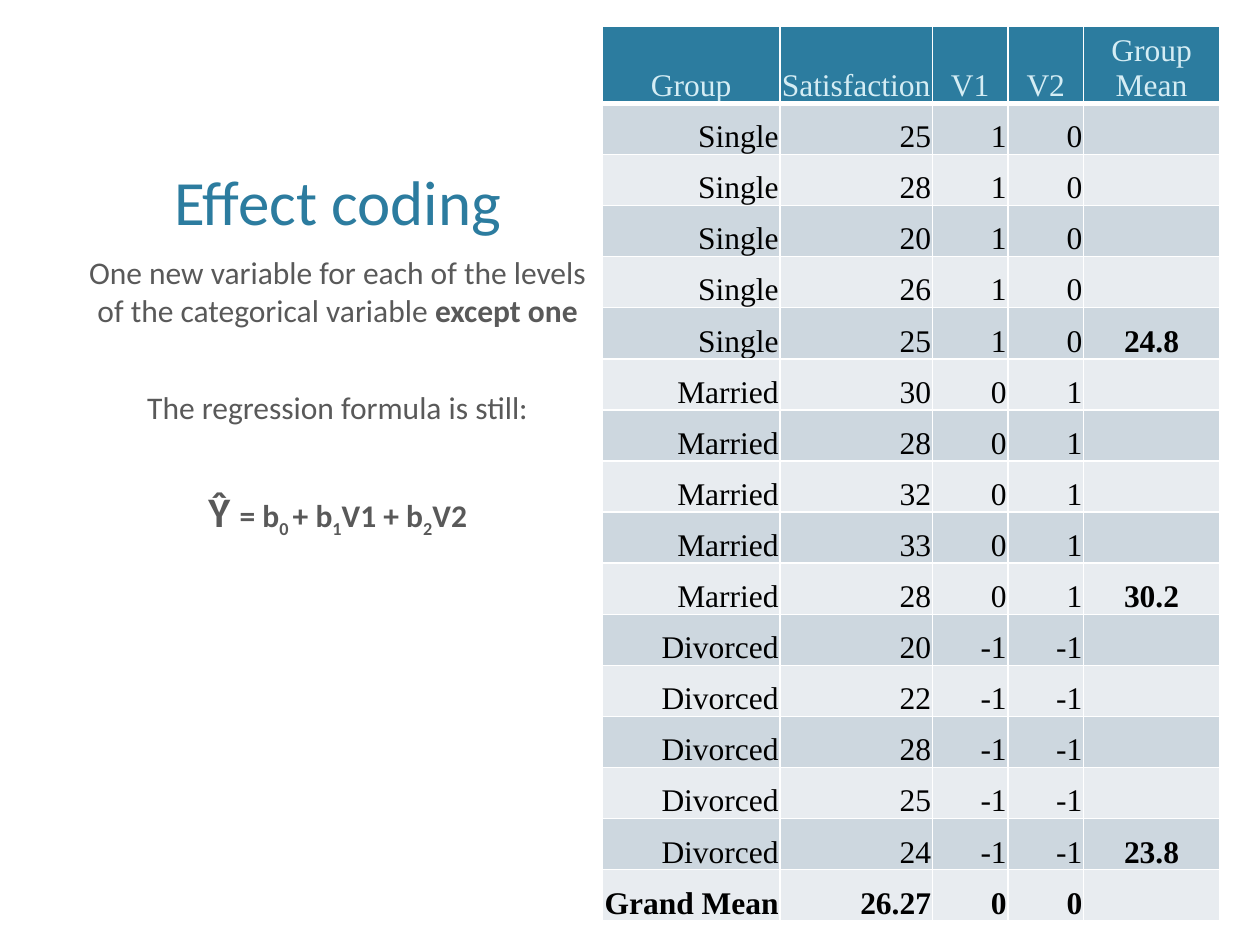
from dataclasses import dataclass

from lxml.etree import SubElement
from pptx import Presentation
from pptx.dml.color import RGBColor
from pptx.enum.text import MSO_ANCHOR, PP_ALIGN
from pptx.oxml.ns import qn
from pptx.util import Inches, Pt

SLIDE_WIDTH, SLIDE_HEIGHT = 10, 7.5
TEXT_LEFT, TEXT_WIDTH = 0.58, 4.2
TABLE_LEFT, TABLE_TOP, TABLE_HEIGHT = TEXT_LEFT + TEXT_WIDTH, 0.21, 6.9
COLUMN_WIDTHS = (1.41, 1.21, 0.6, 0.6, 1.08)
TEXT_FONT, TABLE_FONT = "Calibri", "Times New Roman"
TEAL, PALE_BLUE, GREY, BLACK, WHITE = "2C7C9F", "D5EDF4", "595959", "000000", "FFFFFF"
BANDS = ("E8ECF0", "CDD7DF")
MEAN_COLUMN = 4
BLANK_LINE_GAP = 34  # one empty 18 pt line plus the usual 6 pt on both sides


@dataclass
class TextRun:
    text: str
    size: float = 18
    bold: bool = False
    subscript: bool = False


@dataclass
class TextParagraph:
    runs: list[TextRun]
    space_before: float = 6


@dataclass
class Group:
    name: str
    scores: tuple[int, ...]
    codes: tuple[int, int]
    mean: str


GROUPS = (
    Group("Single", (25, 28, 20, 26, 25), (1, 0), "24.8"),
    Group("Married", (30, 28, 32, 33, 28), (0, 1), "30.2"),
    Group("Divorced", (20, 22, 28, 25, 24), (-1, -1), "23.8"),
)

TITLE = [TextParagraph([TextRun("Effect coding", 36)], 0)]
BODY = [
    TextParagraph([
        TextRun("One new variable for each of the levels of the categorical variable "),
        TextRun("except one", bold=True),
    ]),
    TextParagraph([TextRun("The regression formula is still:")], BLANK_LINE_GAP),
    TextParagraph([
        TextRun("Ŷ ", 24, True),
        TextRun("= b", bold=True),
        TextRun("0 ", bold=True, subscript=True),
        TextRun("+ b", bold=True),
        TextRun("1", bold=True, subscript=True),
        TextRun("V1 + b", bold=True),
        TextRun("2", bold=True, subscript=True),
        TextRun("V2", bold=True),
    ], BLANK_LINE_GAP),
]


def color(value: str) -> RGBColor:
    return RGBColor.from_string(value)


def style_font(font, name: str, size: float, value: str, bold: bool = False) -> None:
    font.name, font.size, font.bold = name, Pt(size), bold
    font.color.rgb = color(value)


def add_text(slide, top: float, height: float, paragraphs: list[TextParagraph],
             value: str, anchor=MSO_ANCHOR.TOP) -> None:
    shape = slide.shapes.add_textbox(
        Inches(TEXT_LEFT), Inches(top), Inches(TEXT_WIDTH), Inches(height))
    frame = shape.text_frame
    frame.word_wrap, frame.vertical_anchor = True, anchor
    for index, content in enumerate(paragraphs):
        paragraph = frame.add_paragraph() if index else frame.paragraphs[0]
        paragraph.alignment = PP_ALIGN.CENTER
        paragraph.space_before = Pt(content.space_before)
        for item in content.runs:
            run = paragraph.add_run()
            run.text = item.text
            style_font(run.font, TEXT_FONT, item.size, value, item.bold)
            if item.subscript:
                run.font._element.set("baseline", "-25000")


def table_rows() -> list[list[str]]:
    """Header, one row per score with the mean on each group's last, and the total."""
    rows = [["Group", "Satisfaction", "V1", "V2", "Group Mean"]]
    for group in GROUPS:
        for score in group.scores:
            rows.append([group.name, str(score), *map(str, group.codes), ""])
        rows[-1][MEAN_COLUMN] = group.mean
    rows.append(["Grand Mean", "26.27", "0", "0", ""])
    return rows


def set_borders(cell, top: float, bottom: float) -> None:
    """White cell lines; they must come before the fill in the cell's XML."""
    properties = cell._tc.get_or_add_tcPr()
    for side, width in (("L", 1), ("R", 1), ("T", top), ("B", bottom)):
        line = SubElement(properties, qn(f"a:ln{side}"), w=str(Pt(width)))
        fill = SubElement(line, qn("a:solidFill"))
        SubElement(fill, qn("a:srgbClr"), val=WHITE)


def add_coding_table(slide) -> None:
    rows = table_rows()
    table = slide.shapes.add_table(
        len(rows), len(COLUMN_WIDTHS), Inches(TABLE_LEFT), Inches(TABLE_TOP),
        Inches(sum(COLUMN_WIDTHS)), Inches(TABLE_HEIGHT)).table
    for column, width in zip(table.columns, COLUMN_WIDTHS):
        column.width = Inches(width)
    for row_index, row in enumerate(rows):
        is_header, is_total = row_index == 0, row_index == len(rows) - 1
        for column_index, text in enumerate(row):
            cell = table.cell(row_index, column_index)
            is_mean = column_index == MEAN_COLUMN
            set_borders(cell, 3 if row_index == 1 else 1, 3 if is_header else 1)
            cell.fill.solid()
            cell.fill.fore_color.rgb = color(TEAL if is_header else BANDS[row_index % 2])
            cell.vertical_anchor = MSO_ANCHOR.BOTTOM
            cell.margin_left = cell.margin_right = cell.margin_top = Inches(0.01)
            cell.margin_bottom = 0
            cell.text_frame.text = text
            paragraph = cell.text_frame.paragraphs[0]
            paragraph.alignment = PP_ALIGN.CENTER if is_header or is_mean else PP_ALIGN.RIGHT
            for run in paragraph.runs:
                style_font(run.font, TABLE_FONT, 18, PALE_BLUE if is_header else BLACK,
                           is_total or (is_mean and not is_header))


def main() -> None:
    presentation = Presentation()
    presentation.slide_width = Inches(SLIDE_WIDTH)
    presentation.slide_height = Inches(SLIDE_HEIGHT)
    slide = presentation.slides.add_slide(presentation.slide_layouts[6])
    add_text(slide, 0.67, 1.27, TITLE, TEAL, MSO_ANCHOR.BOTTOM)
    add_coding_table(slide)
    add_text(slide, 1.96, 4.07, BODY, GREY)
    presentation.save("out.pptx")


if __name__ == "__main__":
    main()
